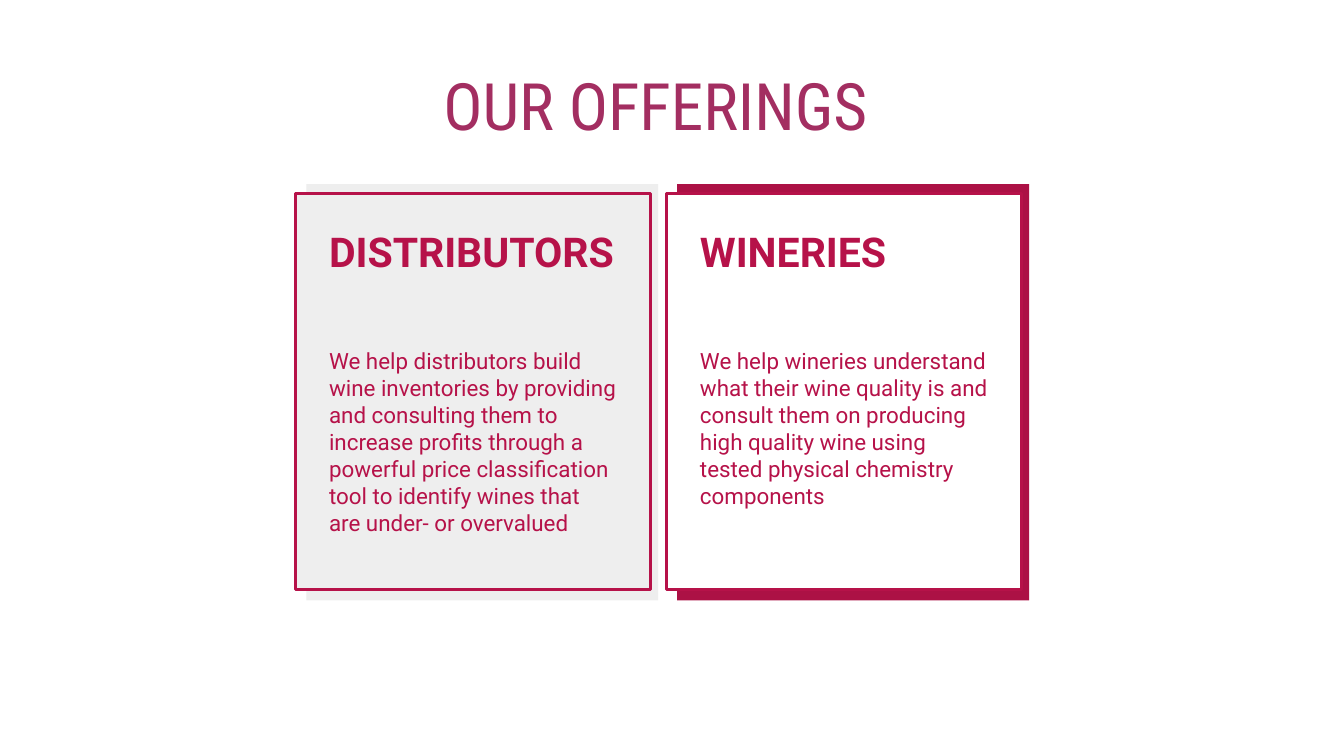
from pptx import Presentation
from pptx.dml.color import RGBColor
from pptx.enum.shapes import MSO_SHAPE
from pptx.enum.text import MSO_ANCHOR, MSO_AUTO_SIZE, PP_ALIGN
from pptx.util import Cm, Pt

PLUM = RGBColor(0xA3, 0x2E, 0x61)
RED = RGBColor(0xB6, 0x12, 0x49)
DARK = RGBColor(0xAC, 0x11, 0x45)
GRAY = RGBColor(0xEE, 0xEE, 0xEE)
WHITE = RGBColor(0xFF, 0xFF, 0xFF)

TITLE = "OUR OFFERINGS"
CARDS = [
    {"head": "DISTRIBUTORS",
     "body": "We help distributors build wine inventories by providing and "
             "consulting them to increase profits through a powerful price "
             "classification tool to identify wines that are under- or overvalued",
     "back": GRAY, "front": GRAY, "fill": GRAY, "tall": 4.37},
    {"head": "WINERIES",
     "body": "We help wineries understand what their wine quality is and "
             "consult them on producing high quality wine using tested physical "
             "chemistry components",
     "back": DARK, "front": WHITE, "fill": None, "tall": 4.6},
]
LEFT, STEP = 5.59, 7.01
FONTS = {
    "title": {"name": "Roboto Condensed", "size": Pt(35), "bold": False},
    "head": {"name": "Roboto", "size": Pt(22), "bold": True},
    "body": {"name": "Roboto", "size": Pt(12), "bold": False},
}
FRAME = {"word_wrap": True, "auto_size": MSO_AUTO_SIZE.NONE,
         "margin_left": Cm(0.25), "margin_right": Cm(0.25),
         "margin_top": Cm(0.25), "margin_bottom": Cm(0.25)}


def apply(item, values):
    for key, value in values.items():
        setattr(item, key, value)


def write(shape, text, font, color, align, anchor):
    frame = shape.text_frame
    apply(frame, FRAME)
    frame.vertical_anchor = anchor
    frame.text = text
    par = frame.paragraphs[0]
    par.alignment = align
    run = par.runs[0]
    apply(run.font, FONTS[font])
    run.font.color.rgb = color


def panel(group, box, fill, line=None):
    shape = group.shapes.add_shape(MSO_SHAPE.RECTANGLE, *map(Cm, box))
    shape.shadow.inherit = False
    shape.fill.solid()
    shape.fill.fore_color.rgb = fill
    if line is None:
        shape.line.fill.background()
    else:
        shape.line.color.rgb = line
        shape.line.width = Pt(1.5)
    return shape


def label(group, box, text, font, fill):
    if fill is None:
        shape = group.shapes.add_textbox(*map(Cm, box))
    else:
        shape = panel(group, box, fill)
    write(shape, text, font, RED, PP_ALIGN.LEFT, MSO_ANCHOR.TOP)


def card(slide, left, data):
    group = slide.shapes.add_group_shape()
    panel(group, (left + 0.2, 3.48, 6.65, 7.87), data["back"])
    panel(group, (left, 3.66, 6.71, 7.49), data["front"], RED)
    for part, top, tall in (("body", 6.32, data["tall"]), ("head", 4.04, 2.03)):
        label(group, (left + 0.38, top, 5.94, tall), data[part], part, data["fill"])


def main():
    deck = Presentation()
    deck.slide_width, deck.slide_height = Cm(25.4), Cm(14.29)
    slide = deck.slides.add_slide(deck.slide_layouts[5])
    title = slide.shapes.title
    apply(title, {"left": Cm(7.92), "top": Cm(0.46),
                  "width": Cm(8.94), "height": Cm(3.02)})
    write(title, TITLE, "title", PLUM, PP_ALIGN.CENTER, MSO_ANCHOR.MIDDLE)
    for spot, data in enumerate(CARDS):
        card(slide, LEFT + spot * STEP, data)
    deck.save("out.pptx")


if __name__ == "__main__":
    main()
